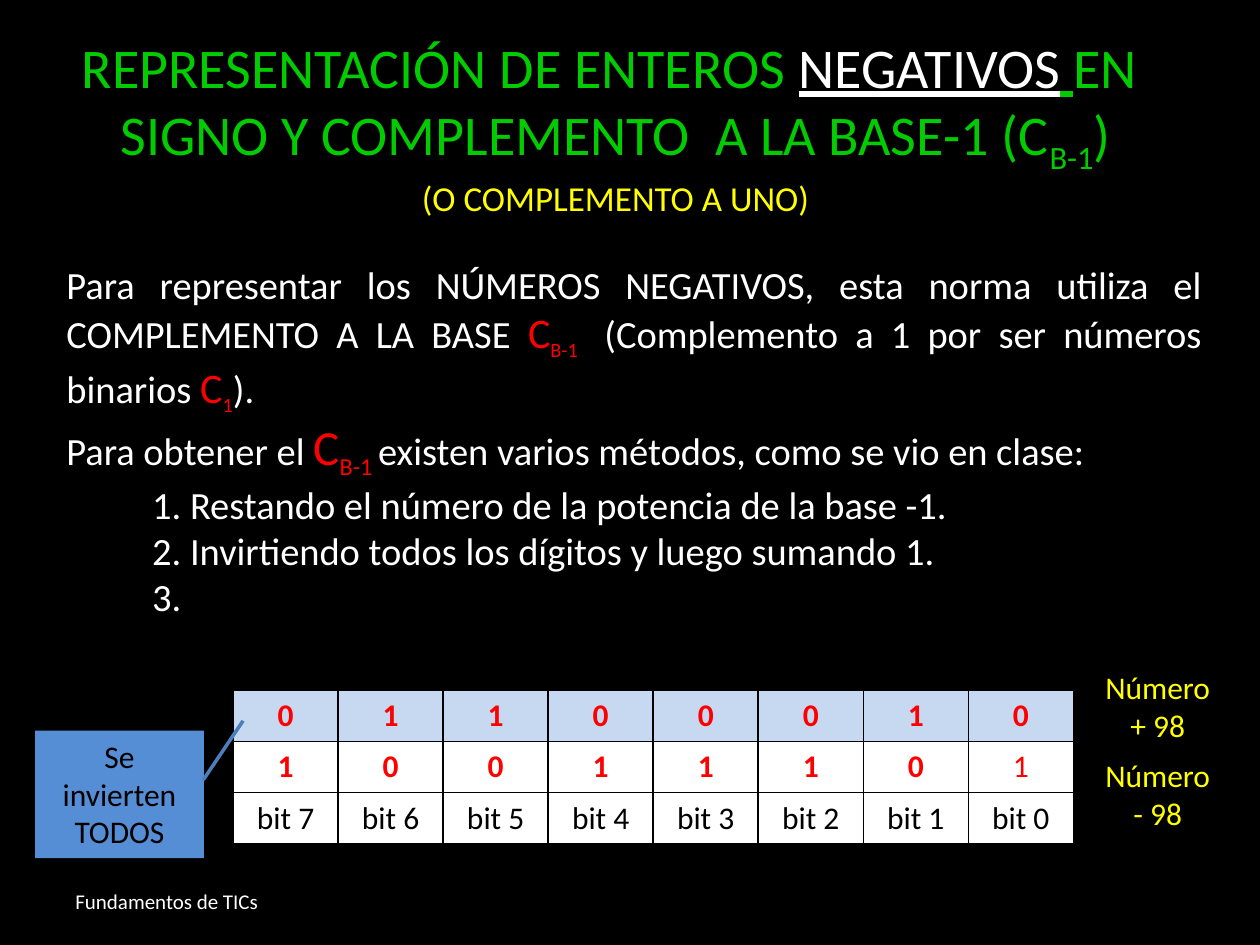
from lxml import etree
from pptx import Presentation
from pptx.dml.color import RGBColor
from pptx.enum.shapes import MSO_CONNECTOR, MSO_SHAPE
from pptx.enum.text import MSO_ANCHOR, PP_ALIGN as Align
from pptx.oxml.ns import qn
from pptx.util import Cm, Pt

BLACK = RGBColor(0x00, 0x00, 0x00)
WHITE = RGBColor(0xFF, 0xFF, 0xFF)
GREEN = RGBColor(0x00, 0xCC, 0x00)
YELLOW = RGBColor(0xFF, 0xFF, 0x00)
RED = RGBColor(0xFF, 0x00, 0x00)
PALE_BLUE = RGBColor(0xC6, 0xD9, 0xF1)
BLUE = RGBColor(0x55, 0x8E, 0xD5)
LINE_BLUE = RGBColor(0x4B, 0x7E, 0xBC)


def write(paragraph, runs, size, color, align=Align.CENTER, bold=None):
    """Fill a paragraph; each run is (text, size, color, subscript), the rest optional."""
    paragraph.alignment = align
    font = paragraph.font
    font.name, font.size, font.bold = "Calibri", Pt(size), bold
    font.color.rgb = color
    for text, *style in runs:
        run_size, run_color, subscript = style + [None] * (3 - len(style))
        run = paragraph.add_run()
        run.text = text
        if run_size:
            run.font.size = Pt(run_size)
        if run_color is not None:
            run.font.color.rgb = run_color
        if subscript:
            run.font._element.set("baseline", "-25000")


def add_frame(left, top, width, height):
    box = slide.shapes.add_textbox(Cm(left), Cm(top), Cm(width), Cm(height))
    box.text_frame.word_wrap = True
    return box.text_frame


prs = Presentation()
prs.slide_width, prs.slide_height = Cm(25.4), Cm(19.05)
slide = prs.slides.add_slide(prs.slide_layouts[6])
slide.background.fill.solid()
slide.background.fill.fore_color.rgb = BLACK

# Footer
footer = add_frame(1.27, 17.65, 6.63, 1.02)
footer.vertical_anchor = MSO_ANCHOR.MIDDLE
write(footer.paragraphs[0], [("Fundamentos de TICs",)], 12, WHITE, Align.LEFT)

# Title
title = add_frame(0.51, 0.53, 23.8, 13.08)
heading = title.paragraphs[0]
write(heading, [
    ("REPRESENTACIÓN DE ENTEROS ",),
    ("NEGATIVOS", None, WHITE),
    (" ",),
    ("EN  SIGNO Y COMPLEMENTO  A LA BASE-1 (C",),
    ("B-1", None, None, True),
    (")",),
], 32, GREEN)
for underlined in heading.runs[1:3]:
    underlined.font.underline = True
write(title.add_paragraph(), [("(O COMPLEMENTO A UNO)",)], 20, YELLOW)

# Bit table
bit_rows = ["01100010", "10011101", [f"bit {n}" for n in range(7, -1, -1)]]
bits = slide.shapes.add_table(3, 8, Cm(4.7), Cm(13.92), Cm(16.94), Cm(3.09)).table
for r, values in enumerate(bit_rows):
    bits.rows[r].height = Cm(1.03)
    for c, value in enumerate(values):
        cell = bits.cell(r, c)
        is_label = r == 2
        is_last_inverted = (r, c) == (1, 7)
        write(cell.text_frame.paragraphs[0], [(value,)], 18,
              BLACK if is_label else RED,
              bold=not (is_label or is_last_inverted))
        properties = cell._tc.get_or_add_tcPr()
        for side in ("lnL", "lnR", "lnT", "lnB"):
            border = etree.SubElement(properties, qn(f"a:{side}"), w=str(Pt(1)))
            paint = etree.SubElement(border, qn("a:solidFill"))
            etree.SubElement(paint, qn("a:srgbClr"), val=str(BLACK))
        cell.fill.solid()
        cell.fill.fore_color.rgb = PALE_BLUE if r == 0 else WHITE

# Explanation and methods
explanation = add_frame(1.09, 5.13, 23.39, 7.26)
write(explanation.paragraphs[0], [
    ("Para representar los NÚMEROS NEGATIVOS, esta norma utiliza el "
     "COMPLEMENTO A LA BASE ",),
    ("C", 24, RED),
    ("B-1  ", 20, RED, True),
    ("(Complemento a 1 por ser números binarios ",),
    ("C", 24, RED),
    ("1", 20, RED, True),
    (").",),
], 22, WHITE, Align.JUSTIFY)
write(explanation.add_paragraph(), [
    ("Para obtener el ",),
    ("C", 28, RED),
    ("B-1 ", 24, RED, True),
    ("existen varios métodos, como se vio en clase:",),
], 22, WHITE, Align.JUSTIFY)
methods = [
    ("1. Restando el número de la potencia de la base -1.", "indent"),
    ("2. Invirtiendo todos los dígitos y luego sumando 1.", "indent"),
    ("3. ", "marL"),
]
for method, offset in methods:
    item = explanation.add_paragraph()
    item._p.get_or_add_pPr().set(offset, str(Cm(1.73)))
    write(item, [(method,)], 22, WHITE, Align.JUSTIFY)

# Inversion note and its pointer to the table
note = slide.shapes.add_shape(MSO_SHAPE.RECTANGLE, Cm(0.71), Cm(14.73), Cm(3.4), Cm(2.57))
note.shadow.inherit = False
note.fill.solid()
note.fill.fore_color.rgb = BLUE
note.line.fill.background()
note.text_frame.word_wrap = True
note.text_frame.vertical_anchor = MSO_ANCHOR.TOP
write(note.text_frame.paragraphs[0], [("Se invierten",)], 18, BLACK)
write(note.text_frame.add_paragraph(), [("TODOS",)], 18, BLACK)

pointer = slide.shapes.add_connector(
    MSO_CONNECTOR.STRAIGHT, Cm(4.9), Cm(14.53), Cm(4.1), Cm(15.72))
pointer.line.color.rgb = LINE_BLUE
pointer.line.width = Pt(2)
etree.SubElement(pointer._element.spPr, qn("a:effectLst"))

# Row captions
for top, number in ((13.34, "+ 98"), (15.11, "- 98")):
    caption = add_frame(21.69, top, 3.3, 1.8)
    write(caption.paragraphs[0], [("Número",)], 18, YELLOW)
    write(caption.add_paragraph(), [(number,)], 18, YELLOW)

prs.save("out.pptx")
